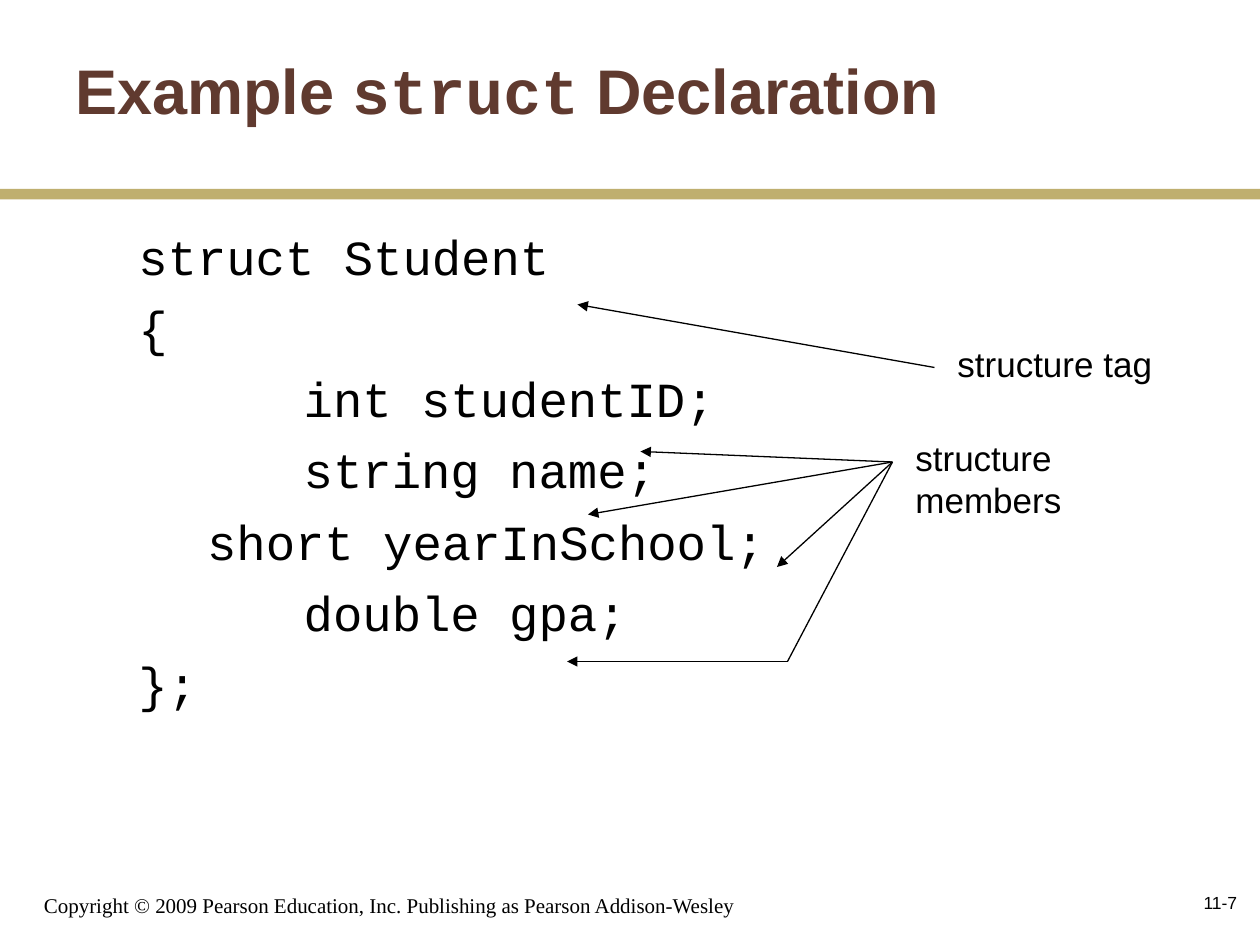
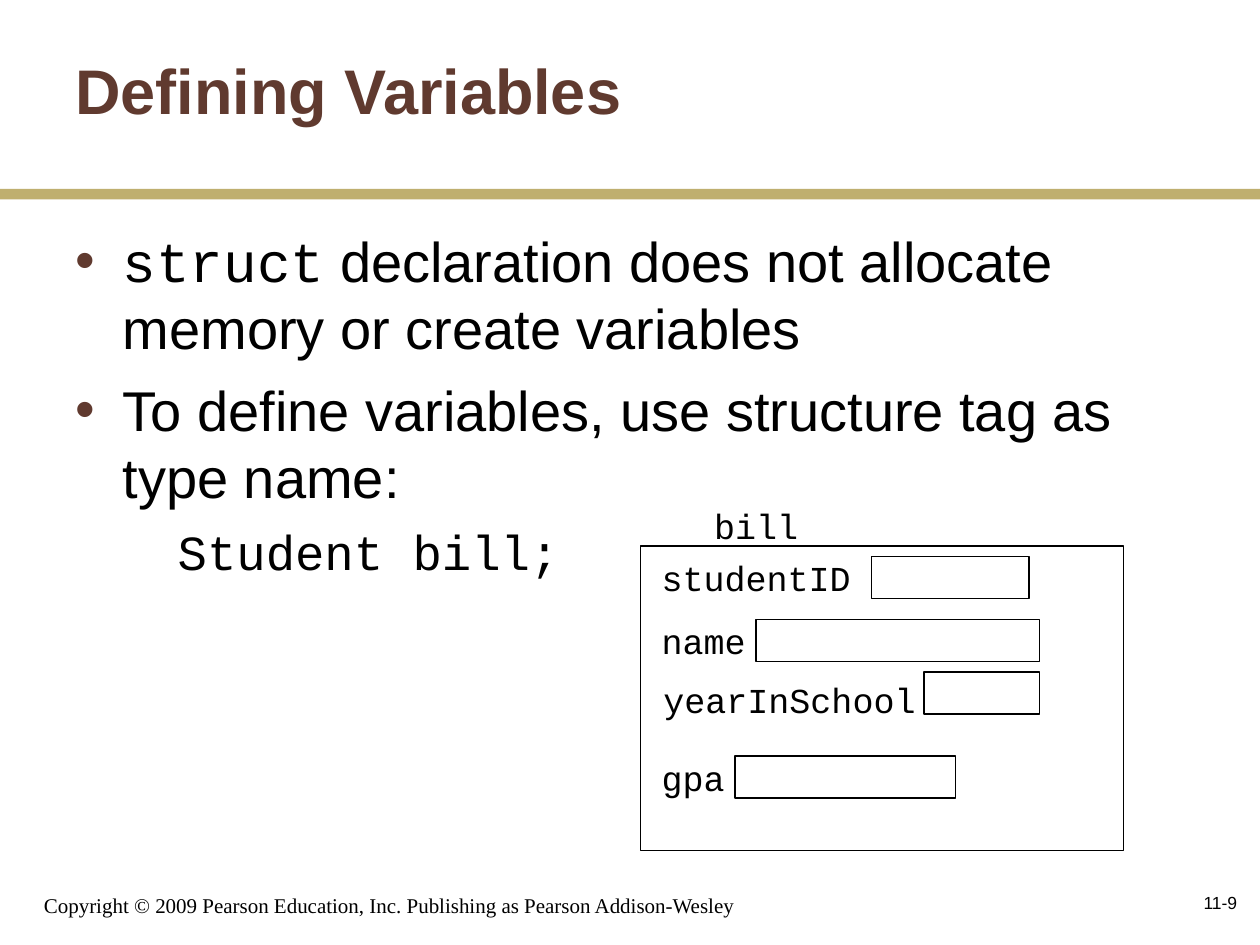
from lxml import etree
from pptx import Presentation
from pptx.dml.color import RGBColor
from pptx.enum import shapes, text
from pptx.oxml.ns import qn
from pptx.util import Pt

# Content
COLORS = {"title": "603A2F", "band": "BFAF6F", "ink": "000000"}
SANS, MONO, SERIF = "Arial", "Courier New", "Times New Roman"
COPYRIGHT = "Copyright © 2009 Pearson Education, Inc. Publishing as Pearson Addison-Wesley"

# Title and body runs are (text, font) pairs
DECLARATION_TITLE = [("Example ", SANS), ("struct", MONO), (" Declaration", SANS)]
DECLARATION = [
    "struct Student",
    "{",
    "\t\tint studentID;",
    "\t\tstring name;",
    "\t short yearInSchool;",
    "\t\tdouble gpa;",
    "};",
]
TAG_ARROW = ((534, 210), (330, 174))
MEMBERS_HUB, GPA_BEND, GPA_END = (510, 264), (450, 378), (324, 378)
MEMBER_TIPS = [(366, 258), (336, 294), (444, 324)]

VARIABLES_TITLE = [("Defining Variables", SANS)]
BULLETS = [
    [("struct", MONO), (" declaration does not allocate memory or create variables", SANS)],
    [("To define variables, use structure tag as type name:", SANS)],
]
DEFINITION = "\tStudent bill;"
BILL_BOX = (366, 312, 276, 174)
# Member name, label left and top, value box left, top and width
MEMBERS = [
    ("studentID", 371, 314.5, 498, 318, 90),
    ("name", 371, 350.5, 432, 354, 162),
    ("yearInSchool", 372, 384, 528, 384, 66),
    ("gpa", 371, 428.5, 420, 432, 126),
]
VALUE_HEIGHT = 24
TAB = 72


# Helpers
def rgb(name):
    return RGBColor.from_string(COLORS[name])


def add_box(s, x, y, w, h, anchor=text.MSO_ANCHOR.TOP, wrap=True):
    tf = s.shapes.add_textbox(Pt(x), Pt(y), Pt(w), Pt(h)).text_frame
    tf.word_wrap = wrap
    tf.vertical_anchor = anchor
    return tf


def add_runs(p, runs, size, color="ink", bold=False):
    for content, font in runs:
        r = p.add_run()
        r.text = content
        r.font.name, r.font.size, r.font.bold = font, Pt(size), bold
        r.font.color.rgb = rgb(color)


def next_paragraph(tf, space):
    if not tf.paragraphs[0].runs:
        return tf.paragraphs[0]
    p = tf.add_paragraph()
    p.space_before = Pt(space)
    return p


def set_indent(p, left, hanging):
    pPr = p._p.get_or_add_pPr()
    pPr.set("marL", str(Pt(left)))
    pPr.set("indent", str(-Pt(hanging)))
    return pPr


def add_code_line(tf, line):
    p = next_paragraph(tf, 7)
    pPr = set_indent(p, 58.5, 22.5)
    pPr.set("defTabSz", str(Pt(TAB)))
    etree.SubElement(pPr, qn("a:buNone"))
    tabs = etree.SubElement(pPr, qn("a:tabLst"))
    for i in range(8):
        etree.SubElement(tabs, qn("a:tab"), pos=str(Pt(TAB * i)), algn="l")
    add_runs(p, [(line, MONO)], 28)


def add_bullet(tf, runs):
    p = next_paragraph(tf, 8)
    pPr = set_indent(p, 27, 27)
    color = etree.SubElement(pPr, qn("a:buClr"))
    etree.SubElement(color, qn("a:srgbClr"), val=COLORS["title"])
    etree.SubElement(pPr, qn("a:buFont"), typeface=SANS)
    etree.SubElement(pPr, qn("a:buChar"), char="•")
    add_runs(p, runs, 32)


def add_label(s, content, x, y, w, h=31.5, font=SANS, wrap=False):
    tf = add_box(s, x, y, w, h, wrap=wrap)
    tf.auto_size = text.MSO_AUTO_SIZE.SHAPE_TO_FIT_TEXT
    add_runs(tf.paragraphs[0], [(content, font)], 20)


def add_rect(s, x, y, w, h, fill=None):
    sp = s.shapes.add_shape(shapes.MSO_SHAPE.RECTANGLE, Pt(x), Pt(y), Pt(w), Pt(h))
    sp.shadow.inherit = False
    if fill:
        sp.fill.solid()
        sp.fill.fore_color.rgb = rgb(fill)
        sp.line.fill.background()
    else:
        sp.fill.background()
        sp.line.color.rgb = rgb("ink")
        sp.line.width = Pt(0.75)


def add_line(s, start, end, arrow=True):
    c = s.shapes.add_connector(shapes.MSO_CONNECTOR.STRAIGHT, *map(Pt, start + end))
    c.line.color.rgb = rgb("ink")
    c.line.width = Pt(0.75)
    if arrow:
        etree.SubElement(c.line._get_or_add_ln(), qn("a:tailEnd"), type="triangle")
    etree.SubElement(c._element.spPr, qn("a:effectLst"))


def new_slide(prs, title, number):
    """Add a slide with footer, band and title; return it and its body frame."""
    s = prs.slides.add_slide(prs.slide_layouts[6])
    tf = add_box(s, 18, 498, 438, 30, text.MSO_ANCHOR.BOTTOM)
    add_runs(tf.paragraphs[0], [(COPYRIGHT, SERIF)], 12)
    add_rect(s, 0, 108, 720, 6, "band")
    tf = add_box(s, 564, 498, 150, 36, text.MSO_ANCHOR.MIDDLE)
    tf.paragraphs[0].alignment = text.PP_ALIGN.RIGHT
    add_runs(tf.paragraphs[0], [(number, SANS)], 10)
    tf = add_box(s, 36, 6, 600, 90, text.MSO_ANCHOR.MIDDLE)
    add_runs(tf.paragraphs[0], title, 36, "title", True)
    return s, add_box(s, 36, 126, 654, 324)


# Slides
def build_declaration(prs):
    s, body = new_slide(prs, DECLARATION_TITLE, "11-7")
    for line in DECLARATION:
        add_code_line(body, line)
    add_label(s, "structure tag", 540, 192, 126)
    add_line(s, *TAG_ARROW)
    add_label(s, "structure members", 516, 246, 181, 55.5, wrap=True)
    for tip in MEMBER_TIPS:
        add_line(s, MEMBERS_HUB, tip)
    add_line(s, MEMBERS_HUB, GPA_BEND, arrow=False)
    add_line(s, GPA_BEND, GPA_END)


def build_variables(prs):
    s, body = new_slide(prs, VARIABLES_TITLE, "11-9")
    for runs in BULLETS:
        add_bullet(body, runs)
    add_code_line(body, DEFINITION)
    add_rect(s, *BILL_BOX)
    labels = [("bill", 401, 284.5)] + [member[:3] for member in MEMBERS]
    for name, x, y in labels:
        add_label(s, name, x, y, 14.5 + 12 * len(name), font=MONO)
    for *_, x, y, w in MEMBERS:
        add_rect(s, x, y, w, VALUE_HEIGHT)


def main():
    prs = Presentation()
    prs.slide_width, prs.slide_height = Pt(720), Pt(540)
    build_declaration(prs)
    build_variables(prs)
    prs.save("out.pptx")


if __name__ == "__main__":
    main()
